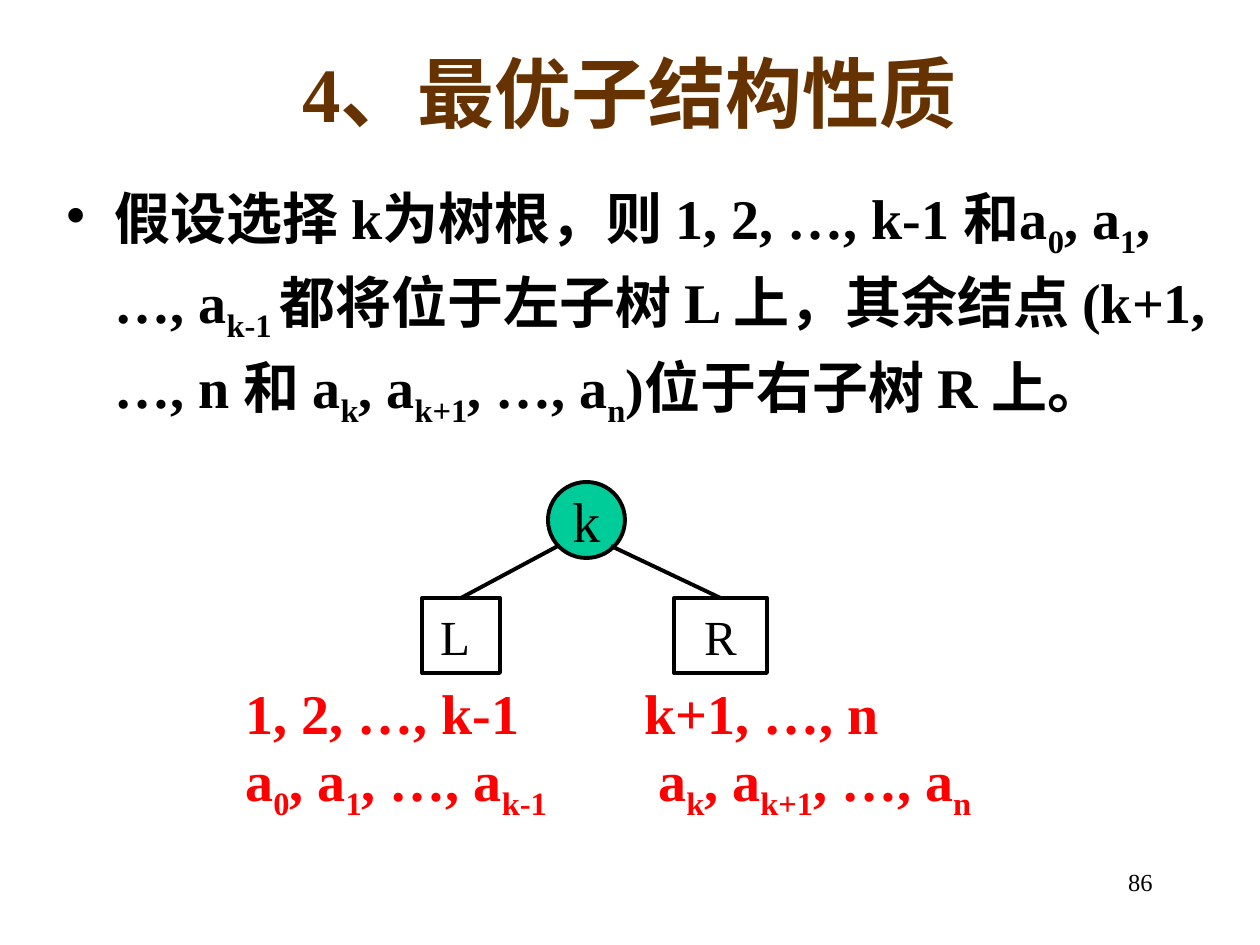
from dataclasses import dataclass

from lxml.etree import SubElement
from pptx import Presentation
from pptx.dml.color import RGBColor
from pptx.enum.shapes import MSO_CONNECTOR, MSO_SHAPE as Shape
from pptx.enum.text import MSO_ANCHOR as Anchor, PP_ALIGN as Align
from pptx.oxml.ns import qn
from pptx.util import Pt

PX = 914400 / 126  # EMU per px


@dataclass(frozen=True)
class Theme:
    font: str = "Times New Roman"
    title: RGBColor = RGBColor(0x66, 0x33, 0x00)
    ink: RGBColor = RGBColor(0, 0, 0)
    accent: RGBColor = RGBColor(0xFF, 0, 0)
    root: RGBColor = RGBColor(0, 0xCC, 0x99)
    title_size: int = 44
    body_size: int = 32
    label_size: int = 28
    small_size: int = 14
    line_width: float = 2.25


THEME = Theme()


def px(*lengths):
    return [round(length * PX) for length in lengths]


def write(paragraph, text, size, color=THEME.ink, bold=False, align=Align.LEFT):
    """Fill a paragraph; text between underscores is set as subscript."""
    paragraph.alignment = align
    font = paragraph.font
    font.name, font.size, font.bold = THEME.font, Pt(size), bold
    font.color.rgb = color
    for index, part in enumerate(text.split("_")):
        if part:
            run = paragraph.add_run()
            run.text = part
            if index % 2:
                run._r.get_or_add_rPr().set("baseline", "-25000")


def add_title(slide, box, text):
    title = slide.shapes.title
    title.left, title.top, title.width, title.height = px(*box)
    title.text_frame.vertical_anchor = Anchor.MIDDLE
    write(title.text_frame.paragraphs[0], text, THEME.title_size,
          THEME.title, True, Align.CENTER)


def add_text(slide, box, lines, size, wrap=True, **style):
    frame = slide.shapes.add_textbox(*px(*box)).text_frame
    frame.word_wrap = wrap
    for index, line in enumerate(lines):
        paragraph = frame.add_paragraph() if index else frame.paragraphs[0]
        write(paragraph, line, size, **style)
    return frame


def add_bullet(paragraph, indent):
    paragraph.line_spacing = 1.1
    paragraph.space_before = Pt(6.4)
    properties = paragraph._p.get_or_add_pPr()
    (length,) = px(indent)
    properties.set("marL", str(length))
    properties.set("indent", str(-length))
    bullet = SubElement(properties, qn("a:buChar"))
    bullet.set("char", "•")
    # The schema wants the bullet before the default run properties
    defaults = properties.find(qn("a:defRPr"))
    if defaults is not None:
        defaults.addprevious(bullet)


def add_node(slide, kind, box, label, size, fill=None, right_margin=0):
    node = slide.shapes.add_shape(kind, *px(*box))
    node.shadow.inherit = False
    if fill is None:
        node.fill.background()
    else:
        node.fill.solid()
        node.fill.fore_color.rgb = fill
    node.line.color.rgb = THEME.ink
    node.line.width = Pt(THEME.line_width)
    frame = node.text_frame
    frame.word_wrap = False
    frame.vertical_anchor = Anchor.MIDDLE
    frame.margin_left, frame.margin_right = px(0, right_margin)
    write(frame.paragraphs[0], label, size, align=Align.CENTER)
    return node


def add_branch(slide, start, child):
    """Draw a line from a point on the root to the top of a child."""
    line = slide.shapes.add_connector(MSO_CONNECTOR.STRAIGHT, *px(*start, *start))
    line.end_connect(child, 0)
    line.line.color.rgb = THEME.ink
    line.line.width = Pt(THEME.line_width)
    SubElement(line._element.spPr, qn("a:effectLst"))


def main():
    presentation = Presentation()
    presentation.slide_width, presentation.slide_height = px(1260, 945)
    slide = presentation.slides.add_slide(presentation.slide_layouts[5])

    # Title, statement and page number
    add_title(slide, (63, 38, 1134, 107), "4、最优子结构性质")
    statement = add_text(
        slide, (54, 170, 1171, 609),
        ["假设选择 k为树根，则 1, 2, …, k-1 和a_0_, a_1_, …, a_k-1 _"
         "都将位于左子树 L 上，其余结点 (k+1, …, n 和 a_k_, a_k+1_, …, a_n_)"
         "位于右子树 R 上。"],
        THEME.body_size, bold=True)
    add_bullet(statement.paragraphs[0], 48)
    add_text(slide, (903, 861, 262, 63), ["86"], THEME.small_size, align=Align.RIGHT)

    # Tree: root k with its left and right subtrees
    add_node(slide, Shape.OVAL, (548, 482, 77, 76), "k", THEME.body_size, THEME.root)
    left = add_node(slide, Shape.RECTANGLE, (422, 598, 78, 75), "L",
                    THEME.label_size, right_margin=12)
    right = add_node(slide, Shape.RECTANGLE, (674, 598, 93, 75), "R", THEME.label_size)
    add_branch(slide, (558, 546), left)
    add_branch(slide, (611, 546), right)

    # Contents of each subtree
    for box, lines in (
        ((233, 672, 338, 147), ["1, 2, …, k-1", "a_0_, a_1_, …, a_k-1_"]),
        ((632, 672, 364, 147), ["k+1, …, n", " a_k_, a_k+1_, …, a_n_"]),
    ):
        add_text(slide, box, lines, THEME.body_size, wrap=False,
                 color=THEME.accent, bold=True)

    presentation.save("out.pptx")


if __name__ == "__main__":
    main()
